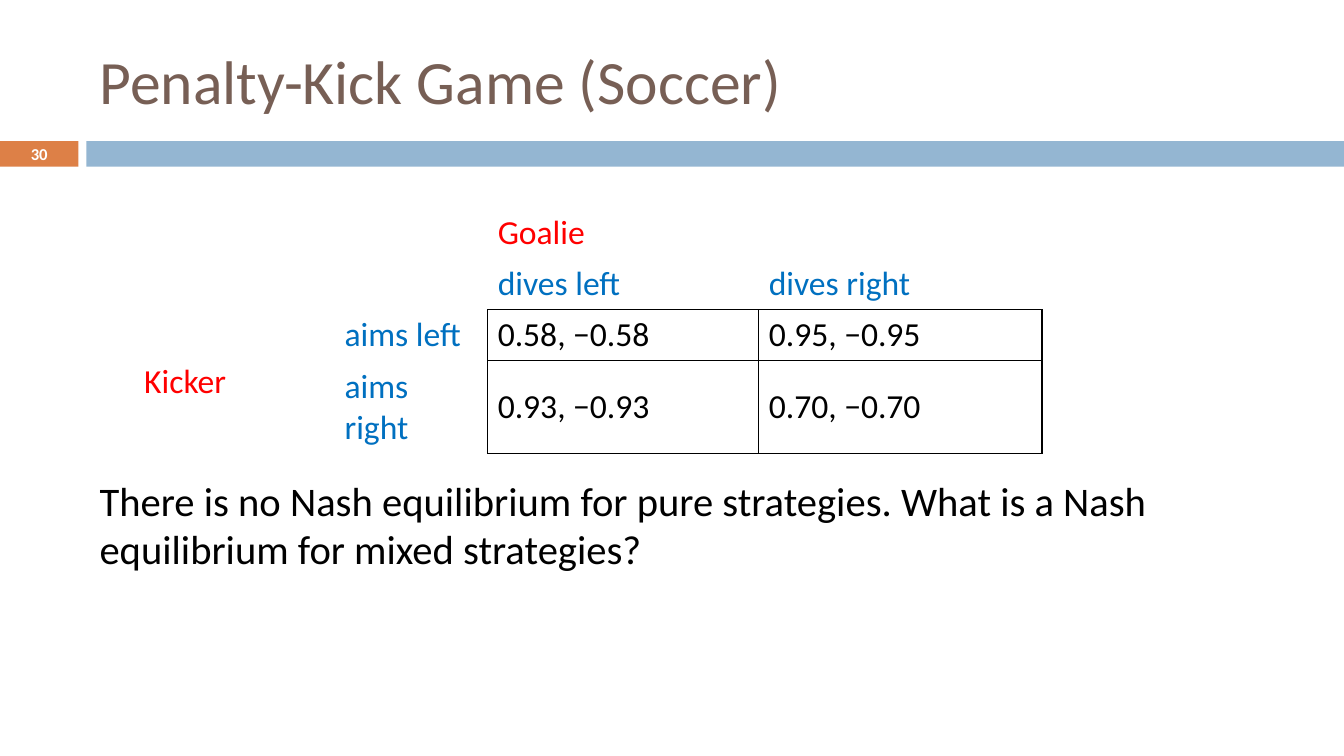
from dataclasses import dataclass

from lxml.etree import SubElement
from pptx import Presentation
from pptx.dml.color import RGBColor
from pptx.enum.shapes import MSO_SHAPE
from pptx.enum.text import MSO_ANCHOR, PP_ALIGN
from pptx.oxml.ns import qn
from pptx.util import Cm, Pt


@dataclass(frozen=True)
class Theme:
    font: str = "Calibri"
    title: str = "775F55"
    accent: str = "DD8047"
    band: str = "94B6D2"
    player: str = "FF0000"
    move: str = "0070C0"
    ink: str = "000000"
    white: str = "FFFFFF"
    title_size: float = 44
    body_size: float = 29
    table_size: float = 24
    number_size: float = 11.9


THEME = Theme()
TITLE_ONLY = 5
LEFT = Cm(2.26)
CONTENT_WIDTH = Cm(30.2)
COLUMN_WIDTHS = (5.05, 3.86, 6.83, 7.14)
ROW_HEIGHTS = (1.28, 1.28, 1.28, 2.33)

# Each entry: row, column, text, colour, bordered sides
GAME_CELLS = (
    (0, 2, "Goalie", THEME.player, ""),
    (1, 2, "dives left", THEME.move, "B"),
    (1, 3, "dives right", THEME.move, "B"),
    (2, 0, "Kicker", THEME.player, ""),
    (2, 1, "aims left", THEME.move, "R"),
    (2, 2, "0.58, −0.58", THEME.ink, "LRTB"),
    (2, 3, "0.95, −0.95", THEME.ink, "LRTB"),
    (3, 1, "aims right", THEME.move, "R"),
    (3, 2, "0.93, −0.93", THEME.ink, "LRTB"),
    (3, 3, "0.70, −0.70", THEME.ink, "LRTB"),
)


def write(text_frame, text, size, color, align=PP_ALIGN.LEFT, bold=False):
    text_frame.text = text
    paragraph = text_frame.paragraphs[0]
    paragraph.alignment = align
    font = paragraph.runs[0].font
    font.name = THEME.font
    font.size = Pt(size)
    font.bold = bold
    font.color.rgb = RGBColor.from_string(color)


def add_title(slide, text):
    title = slide.shapes.title
    title.left, title.top = LEFT, Cm(0.64)
    title.width, title.height = CONTENT_WIDTH, Cm(2.74)
    title.text_frame.vertical_anchor = MSO_ANCHOR.MIDDLE
    write(title.text_frame, text, THEME.title_size, THEME.title)


def add_bar(slide, left, width, color):
    bar = slide.shapes.add_shape(MSO_SHAPE.RECTANGLE, left, Cm(3.56), width, Cm(0.64))
    bar.shadow.inherit = False
    bar.fill.solid()
    bar.fill.fore_color.rgb = RGBColor.from_string(color)
    bar.line.fill.background()
    return bar


def add_slide_number(bar, number):
    frame = bar.text_frame
    frame.margin_top = frame.margin_bottom = 0
    frame.vertical_anchor = MSO_ANCHOR.MIDDLE
    write(frame, number, THEME.number_size, THEME.white, PP_ALIGN.CENTER, True)


def add_border(cell, side):
    properties = cell._tc.get_or_add_tcPr()
    line = SubElement(properties, qn(f"a:ln{side}"), w=str(Pt(1)))
    fill = SubElement(line, qn("a:solidFill"))
    SubElement(fill, qn("a:srgbClr"), val=THEME.ink)


def add_game_table(slide):
    table = slide.shapes.add_table(
        len(ROW_HEIGHTS), len(COLUMN_WIDTHS), Cm(3.38), Cm(5.23),
        Cm(sum(COLUMN_WIDTHS)), Cm(sum(ROW_HEIGHTS))).table
    table.first_row = table.horz_banding = False
    for column, width in zip(table.columns, COLUMN_WIDTHS):
        column.width = Cm(width)
    for row, height in zip(table.rows, ROW_HEIGHTS):
        row.height = Cm(height)

    # Player names span their two moves
    table.cell(0, 2).merge(table.cell(0, 3))
    table.cell(2, 0).merge(table.cell(3, 0))

    for row, column, text, color, sides in GAME_CELLS:
        cell = table.cell(row, column)
        cell.vertical_anchor = MSO_ANCHOR.MIDDLE
        write(cell.text_frame, text, THEME.table_size, color)
        for side in sides:
            add_border(cell, side)
    for cell in table.iter_cells():
        cell.fill.background()


def add_body(slide, text):
    box = slide.shapes.add_textbox(LEFT, Cm(11.86), CONTENT_WIDTH, Cm(5.08))
    box.text_frame.word_wrap = True
    write(box.text_frame, text, THEME.body_size, THEME.ink)


def main():
    presentation = Presentation()
    presentation.slide_width, presentation.slide_height = Cm(33.87), Cm(19.05)
    slide = presentation.slides.add_slide(presentation.slide_layouts[TITLE_ONLY])

    # Header
    number_bar = add_bar(slide, 0, Cm(1.98), THEME.accent)
    add_slide_number(number_bar, "30")
    add_bar(slide, Cm(2.18), Cm(31.69), THEME.band)
    add_title(slide, "Penalty-Kick Game (Soccer)")

    # Payoffs and question
    add_game_table(slide)
    add_body(slide, "There is no Nash equilibrium for pure strategies. "
                    "What is a Nash equilibrium for mixed strategies?")
    presentation.save("out.pptx")


if __name__ == "__main__":
    main()
